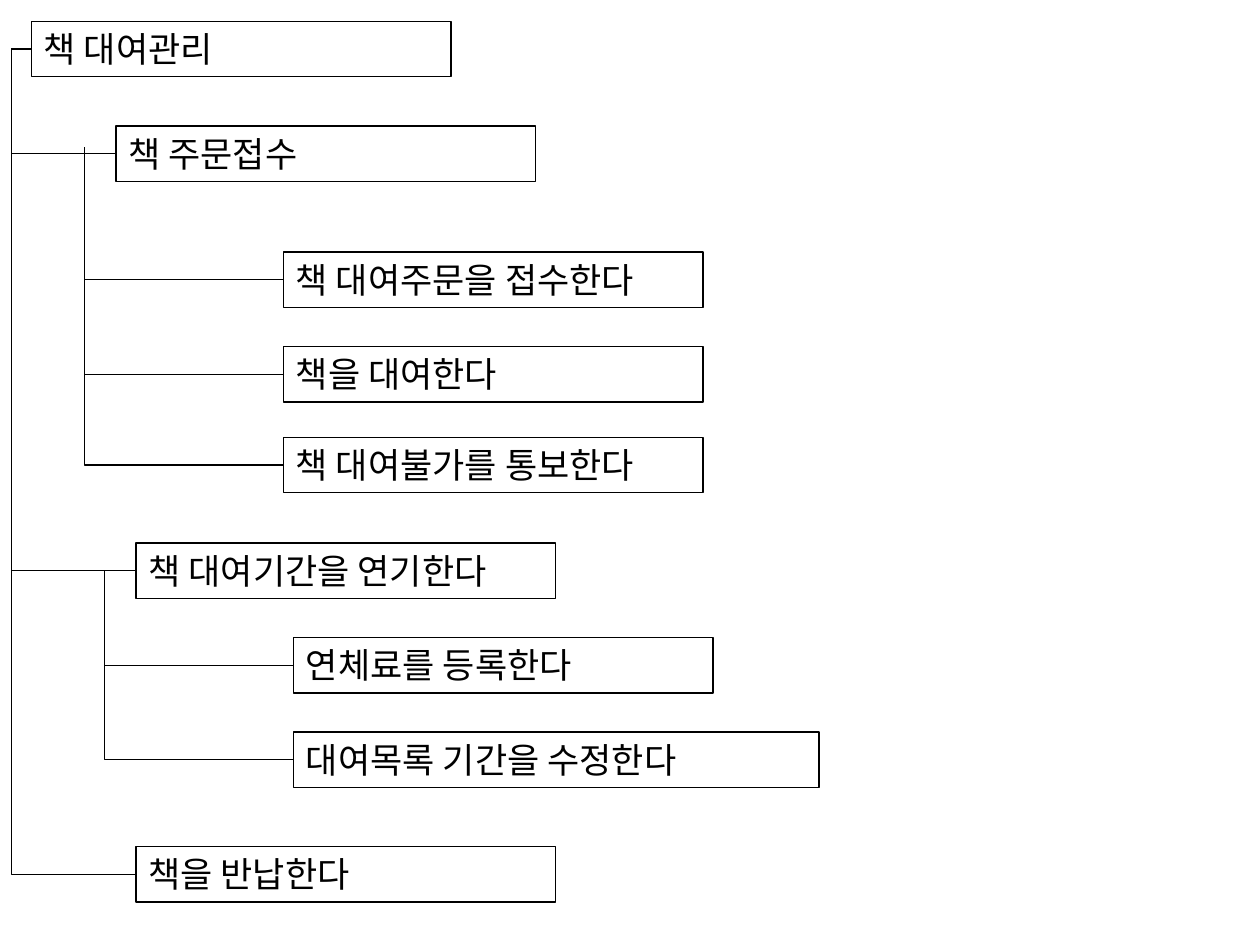
from lxml import etree
from pptx import Presentation
from pptx.dml.color import RGBColor
from pptx.enum.shapes import MSO_CONNECTOR as Conn, MSO_SHAPE as Kind
from pptx.enum.text import MSO_ANCHOR as Anchor, MSO_AUTO_SIZE as Fit, PP_ALIGN as Align
from pptx.oxml.ns import qn
from pptx.util import Inches, Pt

FONT = "Noto Sans CJK KR"
INK = "000000"
HIGH = 0.44
LEFT = 1  # connection site on the left side of a rectangle

# name: text, left, top, width
NODES = {
    "rental": ("책 대여관리", 0.25, 0.17, 3.33),
    "order": ("책 주문접수", 0.92, 1, 3.33),
    "accept": ("책 대여주문을 접수한다", 2.25, 2, 3.33),
    "lend": ("책을 대여한다", 2.25, 2.75, 3.33),
    "refuse": ("책 대여불가를 통보한다", 2.25, 3.47, 3.33),
    "extend": ("책 대여기간을 연기한다", 1.08, 4.31, 3.33),
    "fee": ("연체료를 등록한다", 2.33, 5.06, 3.33),
    "period": ("대여목록 기간을 수정한다", 2.33, 5.81, 4.17),
    "giveback": ("책을 반납한다", 1.08, 6.72, 3.33),
}
# parent, x of the trunk, children
BRANCHES = [
    ("rental", 0.09, ["order", "extend", "giveback"]),
    ("order", 0.67, ["accept", "refuse"]),
    ("extend", 0.83, ["fee", "period"]),
]


def color(code):
    return RGBColor.from_string(code)


def add_node(slide, text, left, top, width):
    box = slide.shapes.add_shape(
        Kind.RECTANGLE, Inches(left), Inches(top), Inches(width), Inches(HIGH))
    box.shadow.inherit = False
    box.fill.background()
    box.line.color.rgb = color(INK)
    box.line.width = Pt(0.75)
    frame = box.text_frame
    frame.word_wrap = True
    frame.auto_size = Fit.SHAPE_TO_FIT_TEXT
    frame.vertical_anchor = Anchor.TOP
    para = frame.paragraphs[0]
    para.text = text
    para.alignment = Align.LEFT
    para.space_before = Pt(12.5)
    para.font.size = Pt(20)
    para.font.name = FONT
    para.font.color.rgb = color(INK)
    fonts = para.runs[0].font
    east = etree.SubElement(fonts._element, qn("a:ea"))
    east.set("typeface", FONT)
    return box


def add_elbow(slide, start, end, trunk):
    """Join two points, in inches, by way of a vertical line at x = trunk."""
    line = slide.shapes.add_connector(
        Conn.ELBOW, *(Inches(n) for n in (*start, *end)))
    line.line.color.rgb = color(INK)
    line.line.width = Pt(0.75)
    props = line._element.spPr
    etree.SubElement(props, qn("a:effectLst"))
    guide = etree.SubElement(props.find(".//" + qn("a:avLst")), qn("a:gd"))
    bend = (trunk - start[0]) / (end[0] - start[0])
    guide.set("name", "adj1")
    guide.set("fmla", f"val {round(bend * 100000)}")
    return line


def add_tree(slide):
    boxes = {name: add_node(slide, *node) for name, node in NODES.items()}
    ports = {name: (left, top + HIGH / 2)
             for name, (_, left, top, _) in NODES.items()}
    for parent, trunk, children in BRANCHES:
        for child in children:
            line = add_elbow(slide, ports[parent], ports[child], trunk)
            line.begin_connect(boxes[parent], LEFT)
            line.end_connect(boxes[child], LEFT)
    # This branch starts just above the order line
    stub = add_elbow(slide, (0.67, 1.17), ports["lend"], 0.67)
    stub.end_connect(boxes["lend"], LEFT)


def main():
    deck = Presentation()
    deck.slide_width, deck.slide_height = Inches(10), Inches(7.5)
    slide = deck.slides.add_slide(deck.slide_layouts[6])
    add_tree(slide)
    deck.save("out.pptx")


if __name__ == "__main__":
    main()
